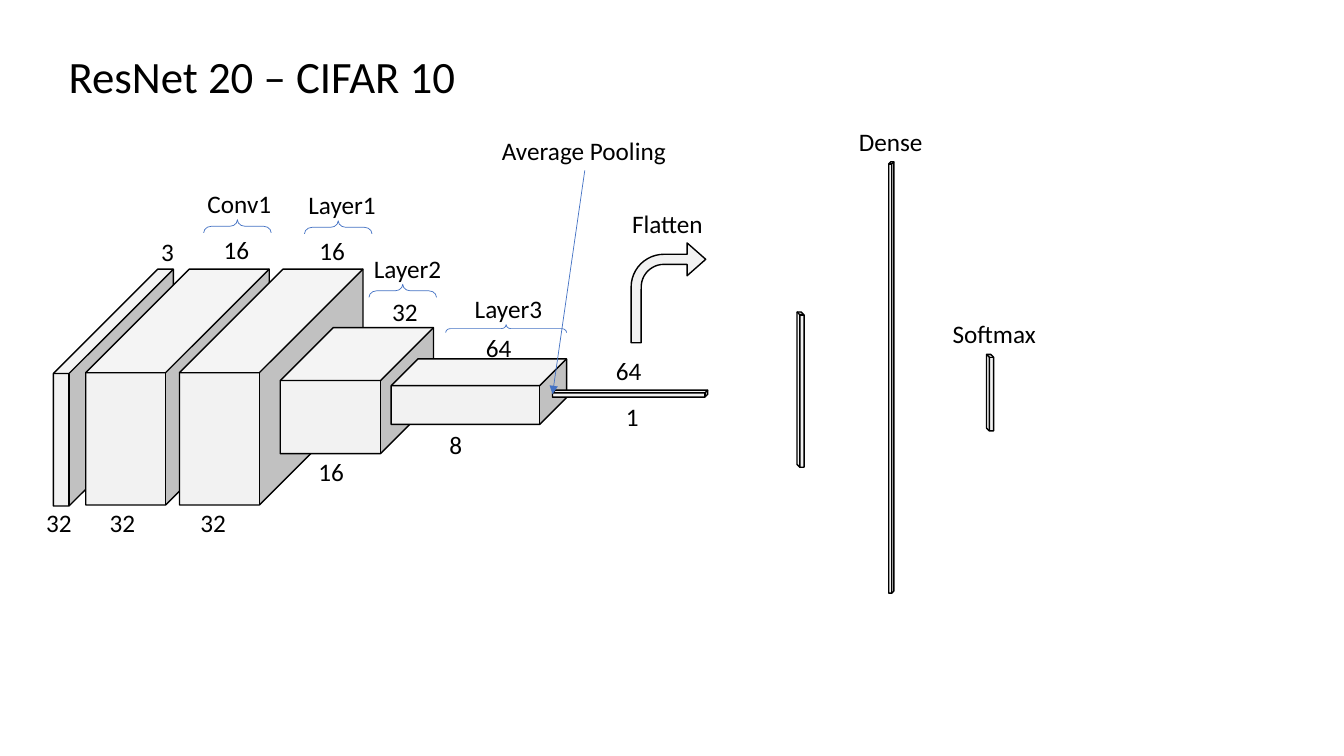
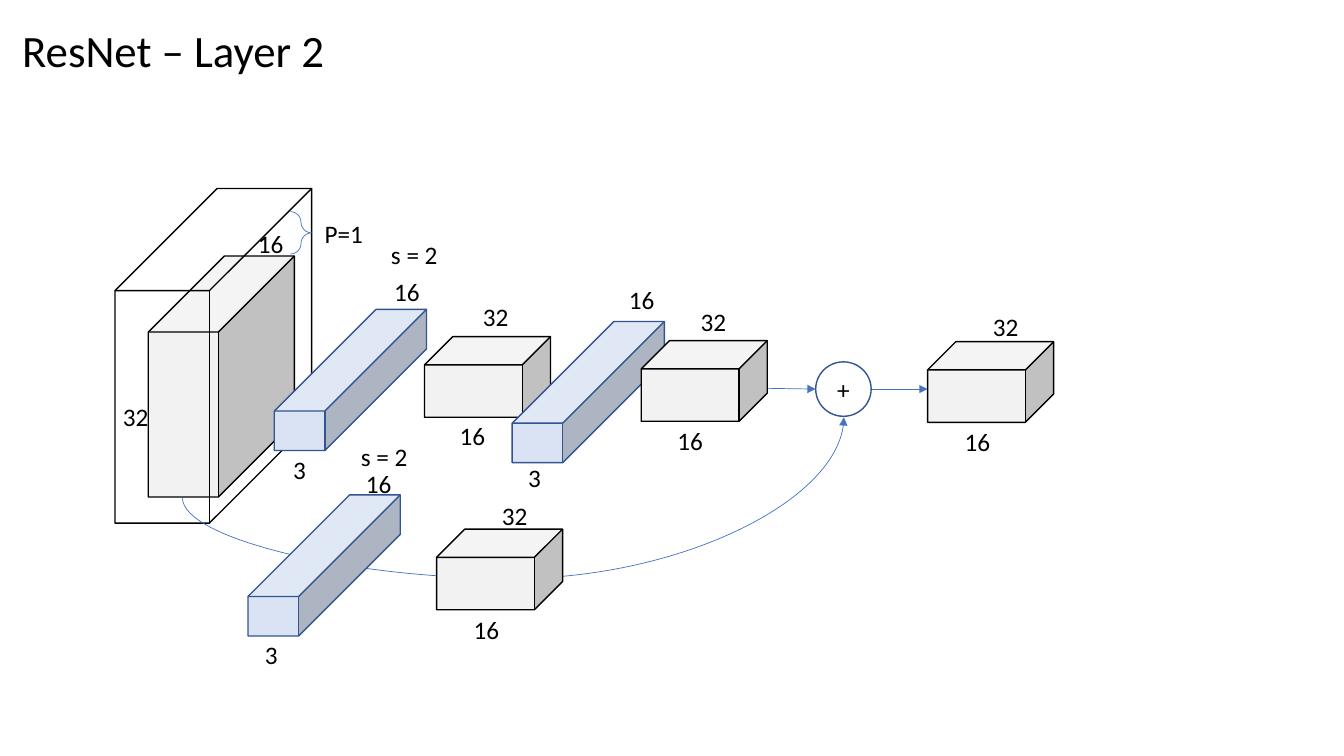
from dataclasses import dataclass
from typing import Optional

from lxml import etree
from pptx import Presentation
from pptx import util as u
from pptx.dml.color import RGBColor
from pptx.enum import shapes, text
from pptx.oxml.ns import qn

FONT = "Calibri"
BLACK, GREY = "000000", "F2F2F2"
BLUE, DARK_BLUE, PALE_BLUE = "4472C4", "325491", "DAE3F3"
TITLE_SIZE, LABEL_SIZE = 32, 18
TITLE_HEIGHT, LABEL_HEIGHT = 0.64, 0.4
LABEL_WIDTHS = {1: 0.33, 2: 0.46}
Preset = shapes.MSO_SHAPE
Point = tuple[float, float]


@dataclass(frozen=True)
class Style:
    fill: Optional[str]
    line: str
    width: float = 1


VOLUME = Style(GREY, BLACK)
PADDING = Style(None, BLACK)
FILTER = Style(PALE_BLUE, DARK_BLUE)
NODE = Style(None, DARK_BLUE)
THIN = Style(None, BLUE, 0.5)


@dataclass(frozen=True)
class Figure:
    left: float
    top: float
    width: float
    height: float
    adjustments: tuple[float, ...] = ()
    preset: Preset = Preset.CUBE
    style: Style = VOLUME
    rotation: float = 0
    flipped: bool = False


@dataclass(frozen=True)
class Label:
    left: float
    top: float
    content: str
    width: Optional[float] = None


@dataclass(frozen=True)
class Arrow:
    start: Point
    end: Point
    kind: shapes.MSO_CONNECTOR = shapes.MSO_CONNECTOR.STRAIGHT
    rotation: int = 0
    bend: Optional[float] = None


def color(value: str) -> RGBColor:
    return RGBColor.from_string(value)


def add_run(paragraph, content: str, size: float) -> None:
    run = paragraph.add_run()
    run.text = content
    run.font.name = FONT
    run.font.size = u.Pt(size)
    run.font.color.rgb = color(BLACK)


def outline(line, style: Style) -> None:
    line.color.rgb = color(style.line)
    line.width = u.Pt(style.width)


def draw_figure(slide, figure: Figure):
    box = map(u.Inches, (figure.left, figure.top, figure.width, figure.height))
    shape = slide.shapes.add_shape(figure.preset, *box)
    shape.shadow.inherit = False
    for index, value in enumerate(figure.adjustments):
        shape.adjustments[index] = value
    shape.rotation = figure.rotation
    if figure.flipped:
        shape.element.spPr.find(qn("a:xfrm")).set("flipV", "1")
    if figure.style.fill:
        shape.fill.solid()
        shape.fill.fore_color.rgb = color(figure.style.fill)
    else:
        shape.fill.background()
    outline(shape.line, figure.style)
    return shape


def draw_label(slide, label: Label) -> None:
    width = label.width or LABEL_WIDTHS[len(label.content)]
    box = map(u.Inches, (label.left, label.top, width, LABEL_HEIGHT))
    frame = slide.shapes.add_textbox(*box).text_frame
    frame.word_wrap = False
    frame.auto_size = text.MSO_AUTO_SIZE.SHAPE_TO_FIT_TEXT
    add_run(frame.paragraphs[0], label.content, LABEL_SIZE)


def draw_arrow(slide, arrow: Arrow) -> None:
    ends = map(u.Inches, (*arrow.start, *arrow.end))
    connector = slide.shapes.add_connector(arrow.kind, *ends)
    outline(connector.line, THIN)
    properties = connector.element.spPr
    etree.SubElement(properties.find(qn("a:ln")), qn("a:tailEnd"), type="triangle")
    etree.SubElement(properties, qn("a:effectLst"))
    if arrow.rotation:
        properties.find(qn("a:xfrm")).set("rot", str(arrow.rotation * 60000))
    if arrow.bend is not None:
        guides = properties.find(qn("a:prstGeom")).find(qn("a:avLst"))
        formula = f"val {round(arrow.bend * 100000)}"
        etree.SubElement(guides, qn("a:gd"), name="adj1", fmla=formula)


def draw_all(slide, items: list) -> None:
    """Draw the items from back to front."""
    painters = {Figure: draw_figure, Label: draw_label, Arrow: draw_arrow}
    for item in items:
        painters[type(item)](slide, item)


def add_titled_slide(presentation, title: str, left: float, top: float, width: float):
    slide = presentation.slides.add_slide(presentation.slide_layouts[5])
    shape = slide.shapes.title
    shape.left, shape.top = u.Inches(left), u.Inches(top)
    shape.width, shape.height = u.Inches(width), u.Inches(TITLE_HEIGHT)
    frame = shape.text_frame
    frame.word_wrap = False
    frame.auto_size = text.MSO_AUTO_SIZE.NONE
    frame.vertical_anchor = text.MSO_ANCHOR.TOP
    frame.paragraphs[0].alignment = text.PP_ALIGN.LEFT
    add_run(frame.paragraphs[0], title, TITLE_SIZE)
    return slide


def top_brace(left: float, top: float, thickness: float, span: float) -> Figure:
    """Brace that opens downwards; left and top are those of its turned frame."""
    shift = (span - thickness) / 2
    return Figure(left + shift, top - shift, thickness, span, (0.58, 0.5),
                  Preset.RIGHT_BRACE, THIN, 270)


def feature_map(left: float, top: float, channels: Point, size: Point) -> list:
    return [Figure(left, top, 1.25, 0.8, (0.35,)),
            Label(*channels, "32"), Label(*size, "16")]


def filter_bar(left: float, top: float, channels: Point, size: Point) -> list:
    return [Figure(left, top, 1.51, 1.4, (0.72,), style=FILTER),
            Label(*channels, "16"), Label(*size, "3")]


def build_network(presentation) -> None:
    slide = add_titled_slide(presentation, "ResNet 20 – CIFAR 10", 0.58, 0.43, 4.08)
    draw_all(slide, [
        Figure(0.53, 2.67, 1.19, 2.35, (0.87,)),
        Figure(0.85, 2.67, 1.82, 2.34, (0.565,)),
        Figure(1.78, 2.67, 1.82, 2.34, (0.565,)),
        Figure(2.78, 3.25, 1.52, 1.25, (0.42,)),
        Figure(3.88, 3.56, 1.74, 0.65, (0.41,)),
        Figure(6.7, 3.72, 4.28, 0.05, (0.41,), rotation=270, flipped=True),
        Figure(6.26, 2.41, 0.74, 0.99, (0.135, 0.22, 0.25, 0.44), Preset.BENT_ARROW),
        Figure(5.48, 3.87, 1.54, 0.07, (0.41,)),
        Figure(7.17, 3.83, 1.54, 0.07, (0.41,), rotation=270),
        Figure(9.44, 3.86, 0.76, 0.07, (0.41,), rotation=270),
        top_brace(2.02, 2.18, 0.13, 0.67),
        top_brace(3.02, 2.19, 0.13, 0.67),
        top_brace(3.66, 2.82, 0.13, 0.67),
        top_brace(4.42, 3.22, 0.08, 1.2),
        Label(1.5, 2.3, "3"),
        Label(2.12, 2.28, "16"),
        Label(3.07, 2.29, "16"),
        Label(3.79, 2.89, "32"),
        Label(4.72, 3.25, "64"),
        Label(6.01, 3.48, "64"),
        Label(0.36, 4.98, "32"),
        Label(0.99, 4.98, "32"),
        Label(1.89, 4.98, "32"),
        Label(3.06, 4.48, "16"),
        Label(4.36, 4.21, "8"),
        Label(6.11, 3.93, "1"),
        Label(1.96, 1.82, "Conv1", 0.84),
        Label(2.96, 1.83, "Layer1", 0.88),
        Label(3.61, 2.46, "Layer2", 0.88),
        Label(4.61, 2.86, "Layer3", 0.88),
        Label(6.17, 2.02, "Flatten", 0.92),
        Label(8.42, 1.2, "Dense", 0.84),
        Label(9.35, 3.11, "Softmax", 1.04),
        Label(4.88, 1.29, "Average Pooling", 1.84),
        Arrow((5.8, 1.69), (5.48, 3.91)),
    ])


def build_layer(presentation) -> None:
    slide = add_titled_slide(presentation, "ResNet – Layer 2", 0.12, 0.18, 3.23)
    draw_all(slide, [
        Label(2.46, 2.22, "16"),
        Figure(1.47, 2.54, 1.45, 2.39, (0.52,)),
        Figure(1.14, 1.87, 1.95, 3.32, (0.52,), style=PADDING),
        Label(1.12, 3.93, "32"),
        Arrow((5.49, 7.82), (4.69, 1.26), shapes.MSO_CONNECTOR.CURVE, 90, -1),
        *filter_bar(2.72, 3.07, (3.81, 2.69), (2.81, 4.46)),
        Arrow((7.44, 3.85), (8.09, 3.86)),
        Arrow((8.65, 3.86), (9.2, 3.86)),
        Label(3.78, 2.33, "s = 2", 0.67),
        *feature_map(4.21, 3.34, (4.69, 2.94), (4.46, 4.12)),
        *filter_bar(2.46, 4.91, (3.53, 4.6), (2.53, 6.29)),
        Label(3.48, 4.33, "s = 2", 0.67),
        *filter_bar(5.08, 3.19, (6.14, 2.77), (5.14, 4.54)),
        *feature_map(6.36, 3.38, (6.85, 2.99), (6.62, 4.17)),
        *feature_map(4.33, 5.25, (4.88, 4.91), (4.6, 6.05)),
        *feature_map(9.2, 3.39, (9.75, 3.04), (9.47, 4.18)),
        Label(3.12, 2.12, "P=1", 0.59),
        Figure(2.88, 2.1, 0.21, 0.42, (1.55, 0.5), Preset.LEFT_BRACE, THIN, 180),
    ])
    node = Figure(8.09, 3.59, 0.55, 0.54, preset=Preset.OVAL, style=NODE)
    frame = draw_figure(slide, node).text_frame
    frame.vertical_anchor = text.MSO_ANCHOR.MIDDLE
    frame.paragraphs[0].alignment = text.PP_ALIGN.CENTER
    add_run(frame.paragraphs[0], "+", LABEL_SIZE)


def main() -> None:
    presentation = Presentation()
    presentation.slide_width = u.Inches(13.33)
    presentation.slide_height = u.Inches(7.5)
    build_network(presentation)
    build_layer(presentation)
    presentation.save("out.pptx")


if __name__ == "__main__":
    main()
